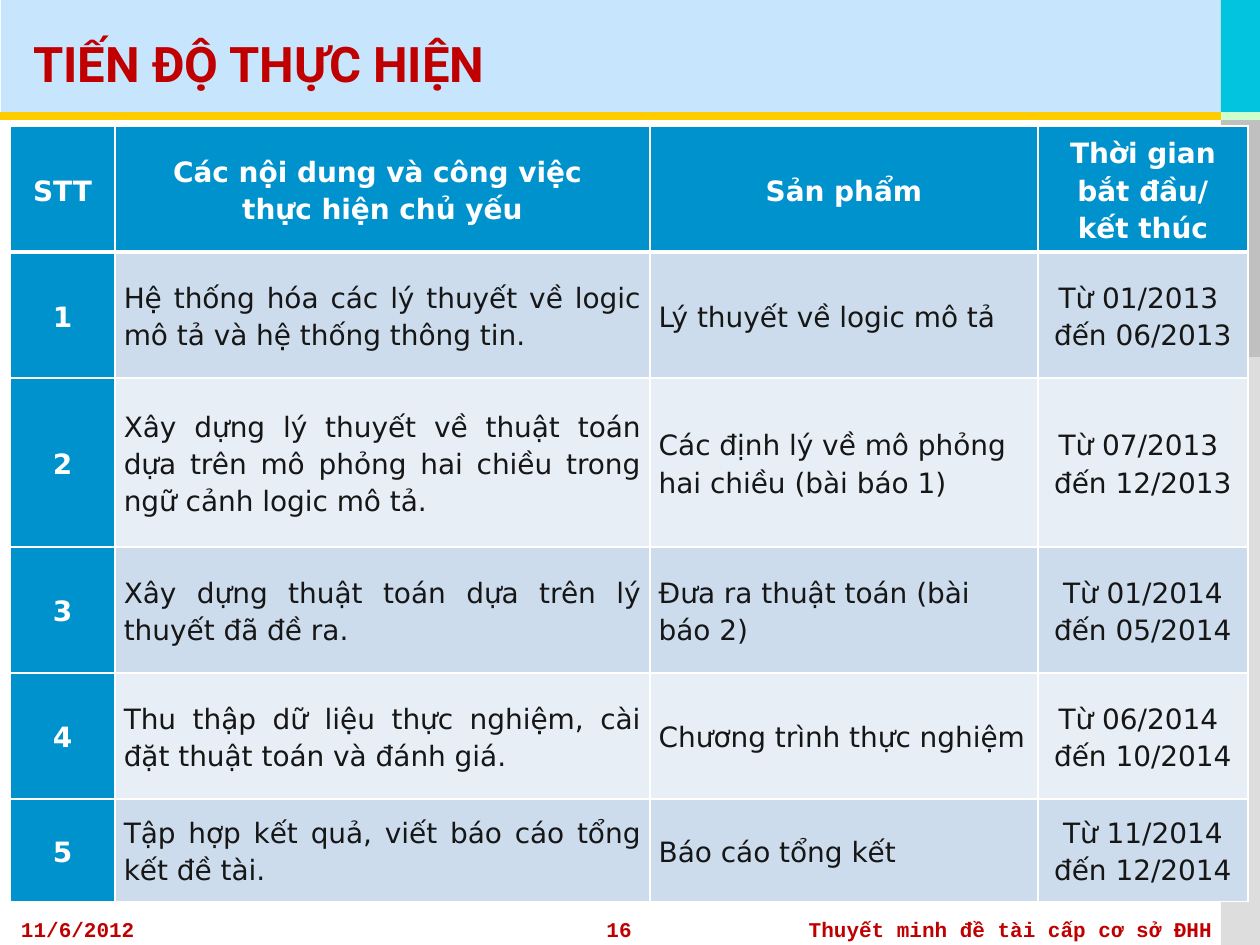
from lxml import etree
from pptx import Presentation, util as u
from pptx.dml.color import RGBColor
from pptx.enum import shapes, text
from pptx.oxml import ns

PX = 914400 // 126
COLORS = {
    "banner": "C7E6FD", "cyan": "02C4DE", "silver": "C0C0C0", "pale": "DDDDDD",
    "mint": "CCFFCC", "gold": "FFCC00", "red": "C00000", "white": "FFFFFF",
    "blue": "0092CC", "ink": "161616", "odd": "CCDCEC", "even": "E7EEF6",
}
ALIGN = text.PP_ALIGN
COLUMNS = [105, 535, 388, 210]
ROWS = [126, 126, 169, 126, 126, 103]
HEADINGS = ["STT", "Các nội dung và công việc \nthực hiện chủ yếu", "Sản phẩm",
            "Thời gian\nbắt đầu/\nkết thúc"]
TASKS = [
    ("Hệ thống hóa các lý thuyết về logic mô tả và hệ thống thông tin.",
     "Lý thuyết về logic mô tả", "Từ 01/2013 \nđến 06/2013"),
    ("Xây dựng lý thuyết về thuật toán dựa trên mô phỏng hai chiều trong ngữ cảnh logic mô tả.",
     "Các định lý về mô phỏng hai chiều (bài báo 1)", "Từ 07/2013 \nđến 12/2013"),
    ("Xây dựng thuật toán dựa trên lý thuyết đã đề ra.",
     "Đưa ra thuật toán (bài báo 2)", "Từ 01/2014\nđến 05/2014"),
    ("Thu thập dữ liệu thực nghiệm, cài đặt thuật toán và đánh giá.",
     "Chương trình thực nghiệm", "Từ 06/2014 \nđến 10/2014"),
    ("Tập hợp kết quả, viết báo cáo tổng kết đề tài.",
     "Báo cáo tổng kết", "Từ 11/2014\nđến 12/2014"),
]


def px(*lengths):
    """Turn pixel lengths into EMU."""
    return [u.Emu(length * PX) for length in lengths]


def rgb(name):
    """Look up a named colour."""
    return RGBColor.from_string(COLORS[name])


def style_font(paragraph, face, size, color, bold=True):
    """Set the font of a whole paragraph."""
    font = paragraph.font
    font.name, font.size, font.bold = face, u.Pt(size), bold
    font.color.rgb = rgb(color)


def add_panel(slide, color, *box):
    """Add a plain filled rectangle."""
    panel = slide.shapes.add_shape(shapes.MSO_SHAPE.RECTANGLE, *px(*box))
    panel.shadow.inherit = False
    panel.fill.solid()
    panel.fill.fore_color.rgb = rgb(color)
    panel.line.fill.background()


def add_rule(slide, color, left, right, y):
    """Add a thick horizontal line."""
    rule = slide.shapes.add_connector(shapes.MSO_CONNECTOR.STRAIGHT, *px(left, y, right, y))
    rule.line.color.rgb = rgb(color)
    rule.line.width = u.Pt(4.5)
    etree.SubElement(rule._element.spPr, ns.qn("a:effectLst"))


def add_label(slide, wording, box, face, size, align=ALIGN.LEFT, inset=0):
    """Add one line of bold red text."""
    frame = slide.shapes.add_textbox(*px(*box)).text_frame
    frame.word_wrap = True
    frame.vertical_anchor = text.MSO_ANCHOR.MIDDLE
    frame.margin_left = frame.margin_right = u.Inches(inset)
    frame.margin_top = frame.margin_bottom = u.Inches(inset / 2)
    line = frame.paragraphs[0]
    line.text, line.alignment = wording, align
    style_font(line, face, size, "red")


def set_borders(cell, top, bottom):
    """Draw white cell borders, with top and bottom widths in points."""
    properties = cell._tc.get_or_add_tcPr()
    for side, width in (("L", 1), ("R", 1), ("T", top), ("B", bottom)):
        border = etree.SubElement(properties, ns.qn("a:ln" + side), w=str(u.Pt(width)))
        fill = etree.SubElement(border, ns.qn("a:solidFill"))
        etree.SubElement(fill, ns.qn("a:srgbClr"), val=COLORS["white"])


def fill_cell(cell, wording, align, fill, color, bold):
    """Write and colour one table cell."""
    cell.vertical_anchor = text.MSO_ANCHOR.MIDDLE
    cell.margin_left = cell.margin_right = u.Inches(0.07)
    cell.margin_top = cell.margin_bottom = 0
    cell.fill.solid()
    cell.fill.fore_color.rgb = rgb(fill)
    entry = cell.text_frame.paragraphs[0]
    entry.text = wording.replace("\n", "\v")
    entry.alignment, entry.line_spacing = align, 1.15
    entry.space_before = entry.space_after = u.Pt(2)
    style_font(entry, "DejaVu Sans", 16, color, bold)


def add_schedule(slide):
    """Add the table of tasks, products and dates."""
    box = px(10, 126, sum(COLUMNS), sum(ROWS))
    schedule = slide.shapes.add_table(len(ROWS), len(COLUMNS), *box).table
    for column, width in zip(schedule.columns, px(*COLUMNS)):
        column.width = width
    for row, height in zip(schedule.rows, px(*ROWS)):
        row.height = height
    body_aligns = [ALIGN.CENTER, ALIGN.JUSTIFY, ALIGN.LEFT, ALIGN.CENTER]
    entries = [HEADINGS] + [(str(n), *task) for n, task in enumerate(TASKS, 1)]
    for r, row in enumerate(entries):
        for c, wording in enumerate(row):
            cell = schedule.cell(r, c)
            set_borders(cell, 3 if r == 1 else 1, 3 if r == 0 else 1)
            if r == 0 or c == 0:
                fill_cell(cell, wording, ALIGN.CENTER, "blue", "white", True)
            else:
                band = "odd" if r % 2 else "even"
                fill_cell(cell, wording, body_aligns[c], band, "ink", False)


def main():
    """Build the schedule slide."""
    deck = Presentation()
    deck.slide_width, deck.slide_height = u.Inches(10), u.Inches(7.5)
    slide = deck.slides.add_slide(deck.slide_layouts[6])
    add_panel(slide, "banner", 1, 0, 1259, 115)
    add_panel(slide, "pale", 1221, 350, 39, 595)
    add_panel(slide, "cyan", 1221, 0, 39, 118)
    add_panel(slide, "silver", 1221, 116, 39, 241)
    add_rule(slide, "mint", 1218, 1260, 116)
    add_rule(slide, "gold", 0, 1221, 116)
    add_label(slide, "TIẾN ĐỘ THỰC HIỆN", (21, 21, 1218, 84), "Roboto", 28, inset=0.1)
    add_schedule(slide)
    for wording, left, width, align in (
        ("11/6/2012", 21, 325, ALIGN.LEFT),
        ("Thuyết minh đề tài cấp cơ sở ĐHH", 735, 477, ALIGN.RIGHT),
        ("16", 472, 294, ALIGN.CENTER),
    ):
        add_label(slide, wording, (left, 914, width, 31), "Courier New", 12, align)
    deck.save("out.pptx")


main()
